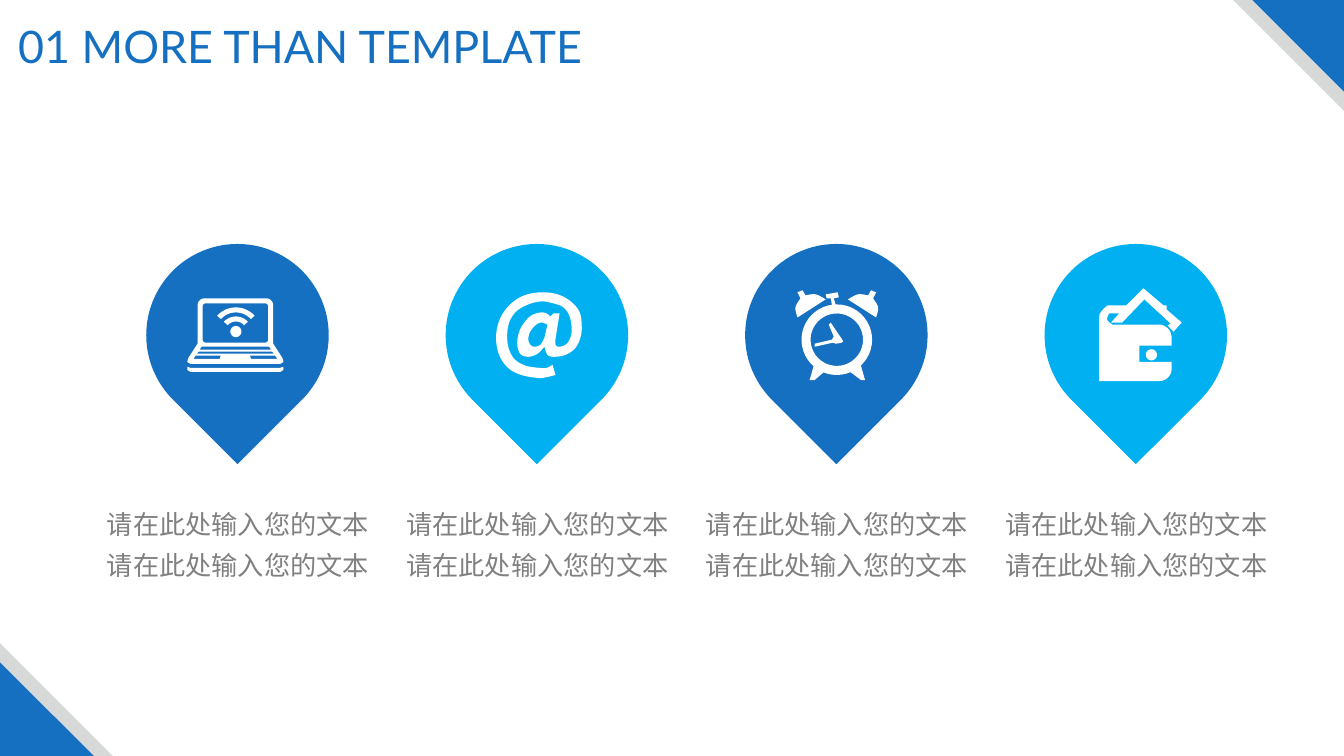
import math

import pptx
import pptx.dml.color
import pptx.enum.shapes
import pptx.enum.text
import pptx.oxml.ns
import pptx.util
from pptx.util import Inches

RGBColor = pptx.dml.color.RGBColor
MSO_SHAPE = pptx.enum.shapes.MSO_SHAPE
PP_ALIGN = pptx.enum.text.PP_ALIGN
MSO_ANCHOR = pptx.enum.text.MSO_ANCHOR
MSO_AUTO_SIZE = pptx.enum.text.MSO_AUTO_SIZE

BLUE = RGBColor(0x15, 0x70, 0xC1)
SKY = RGBColor(0x00, 0xB0, 0xF0)
SILVER = RGBColor(0xD7, 0xD8, 0xD8)
GREY = RGBColor(0x80, 0x80, 0x80)
WHITE = RGBColor(0xFF, 0xFF, 0xFF)

SLIDE_WIDTH, SLIDE_HEIGHT = 13.33, 7.5
PIN_LEFT, PIN_TOP, PIN_SIZE, PIN_PITCH = 1.45, 2.42, 1.81, 2.97
CAPTION_LEFT, CAPTION_TOP = 0.9, 4.9
CAPTION_LINES = ["请在此处输入您的文本"] * 2


def arc(x, y, radius, start, end):
    """Points on a circle, angles in degrees clockwise from the right."""
    steps = max(4, math.ceil(abs(end - start) / 8))
    angles = [math.radians(start + (end - start) * i / steps) for i in range(steps + 1)]
    return [(x + radius * math.cos(a), y + radius * math.sin(a)) for a in angles]


def curve(*knots, steps=5):
    """Points of a smooth open Catmull-Rom curve through the knots."""
    padded = [knots[0], *knots, knots[-1]]
    points = []
    for p, q, r, s in zip(padded, padded[1:], padded[2:], padded[3:]):
        for t in (i / steps for i in range(steps)):
            points.append(tuple(
                b + 0.5 * t * (c - a + t * (2 * a - 5 * b + 4 * c - d
                                            + t * (3 * b - a - 3 * c + d)))
                for a, b, c, d in zip(p, q, r, s)))
    return [*points, knots[-1]]


def rounded(left, top, right, bottom, radius):
    corners = [(right - radius, top + radius, 270), (right - radius, bottom - radius, 0),
               (left + radius, bottom - radius, 90), (left + radius, top + radius, 180)]
    return [point for x, y, start in corners for point in arc(x, y, radius, start, start + 90)]


def bar(top, bottom, top_left, top_right, bottom_left, bottom_right):
    return [(top_left, top), (top_right, top), (bottom_right, bottom), (bottom_left, bottom)]


def band(x, y, inner, outer):
    """An upward-facing signal wave."""
    return arc(x, y, outer, 222, 318) + arc(x, y, inner, 318, 222)


def mirrored(points, axis):
    return [(2 * axis - x, y) for x, y in points]


LAPTOP = [
    [*arc(2.03, 3.03, 0.07, 180, 270), *arc(2.64, 3.03, 0.07, 270, 360), (2.71, 3.41),
     *curve((2.8, 3.55), (2.81, 3.59), (2.78, 3.61)),
     *curve((1.89, 3.61), (1.86, 3.59), (1.87, 3.55)), (1.96, 3.41)],
    rounded(2.01, 3.01, 2.66, 3.4, 0.03),
    band(2.34, 3.3, 0.2, 0.25),
    band(2.34, 3.3, 0.11, 0.16),
    arc(2.34, 3.29, 0.055, 0, 360),
    bar(3.44, 3.47, 2, 2.67, 1.98, 2.69),
    bar(3.49, 3.51, 1.97, 2.7, 1.95, 2.72),
    bar(3.53, 3.56, 1.94, 2.19, 1.92, 2.18),
    bar(3.53, 3.56, 2.48, 2.73, 2.49, 2.75),
    [*curve((1.86, 3.64), (1.89, 3.65)), *curve((2.78, 3.65), (2.81, 3.64)),
     *curve((2.81, 3.64), (2.81, 3.67), (2.78, 3.69)),
     *curve((1.89, 3.69), (1.86, 3.67), (1.86, 3.64))],
]
AT_SIGN = [
    [(5.49, 3.11), (5.55, 3.11),
     *curve((5.51, 3.36), (5.51, 3.42), (5.54, 3.44), (5.59, 3.43), (5.63, 3.4), (5.66, 3.34),
            (5.67, 3.26), (5.65, 3.14), (5.59, 3.05), (5.49, 3.01), (5.37, 2.99), (5.24, 3.02),
            (5.12, 3.09), (5.05, 3.2), (5.03, 3.34), (5.05, 3.47), (5.11, 3.57), (5.22, 3.63),
            (5.36, 3.65), (5.42, 3.65), (5.48, 3.62)),
     *curve((5.51, 3.72), (5.43, 3.74), (5.34, 3.75), (5.17, 3.72), (5.04, 3.65), (4.95, 3.52),
            (4.92, 3.34), (4.96, 3.16), (5.06, 3.02), (5.2, 2.93), (5.37, 2.9), (5.53, 2.92),
            (5.66, 2.99), (5.75, 3.1), (5.77, 3.26), (5.75, 3.37), (5.7, 3.46), (5.61, 3.52),
            (5.5, 3.54), (5.43, 3.52), (5.4, 3.44)),
     *curve((5.4, 3.44), (5.33, 3.51), (5.24, 3.54), (5.16, 3.51), (5.13, 3.41), (5.15, 3.29),
            (5.2, 3.2), (5.27, 3.13), (5.36, 3.1), (5.42, 3.11), (5.46, 3.14))],
    [*curve((5.43, 3.22), (5.37, 3.2), (5.32, 3.22), (5.28, 3.26), (5.25, 3.31), (5.24, 3.37),
            (5.26, 3.42), (5.3, 3.44), (5.36, 3.42), (5.4, 3.35))],
]
BELL = [*curve((8.61, 2.93), (8.51, 2.92), (8.41, 2.97)),
        *curve((8.69, 3.15), (8.71, 3.05), (8.66, 2.96)), (8.69, 2.9), (8.64, 2.88)]
CLOCK = [
    [*arc(8.3, 3.37, 0.35, 131, 262), (8.24, 2.96), (8.2, 2.96), (8.19, 2.92), (8.31, 2.9),
     (8.32, 2.95), (8.27, 2.96), *arc(8.3, 3.37, 0.35, 268, 407), (8.58, 3.77), (8.54, 3.77),
     *arc(8.3, 3.37, 0.35, 67, 112), (8.08, 3.77), (8.03, 3.77)],
    arc(8.3, 3.37, 0.26, 0, 360),
    BELL,
    mirrored(BELL, 8.3),
    [(8.25, 3.37), (8.08, 3.41), (8.08, 3.44), (8.26, 3.4),
     *curve((8.29, 3.41), (8.36, 3.39), (8.32, 3.32)), (8.24, 3.2), (8.22, 3.22), (8.27, 3.34)],
]
WALLET = [
    [(11.03, 3.22), *arc(11.49, 3.35, 0.13, 270, 360), (11.62, 3.43), (11.3, 3.43),
     (11.3, 3.59), (11.62, 3.59), *arc(11.5, 3.66, 0.12, 0, 90), (10.9, 3.78),
     *curve((10.9, 3.19), (10.91, 3.11), (10.97, 3.04)), (10.99, 3.03), (11.17, 3.03),
     (11.34, 2.86), (11.54, 3.03), (11.57, 3.03), (11.57, 3.07), (11.72, 3.2),
     (11.64, 3.29), (11.58, 3.23), (11.61, 3.21), (11.35, 2.97), (11.13, 3.2),
     (11.02, 3.2), (11.1, 3.11), *curve((11, 3.11), (10.98, 3.17), (11.03, 3.22))],
    arc(11.42, 3.52, 0.055, 0, 360),
]
PINS = [(BLUE, LAPTOP), (SKY, AT_SIGN), (BLUE, CLOCK), (SKY, WALLET)]


class SlideBuilder:
    """Holds the text styles and the current slide."""

    title_font = {"name": "Lato", "size": pptx.util.Pt(32)}
    caption_font = {"name": "Noto Sans CJK SC", "size": pptx.util.Pt(18.7)}

    def __init__(self, slide):
        self.slide = slide

    def paint(self, shape, color):
        shape.shadow.inherit = False
        shape.fill.solid()
        shape.fill.fore_color.rgb = color
        shape.line.fill.background()

    def preset(self, kind, left, top, size, color, rotation=0):
        shape = self.slide.shapes.add_shape(
            kind, Inches(left), Inches(top), Inches(size), Inches(size))
        shape.rotation = rotation
        self.paint(shape, color)

    def outline(self, contours, color):
        """Draw closed contours as one shape; inner contours become holes."""
        paths = [[(Inches(x), Inches(y)) for x, y in contour] for contour in contours]
        builder = self.slide.shapes.build_freeform(*paths[0][0])
        for points in paths:
            builder.move_to(*points[0])
            builder.add_line_segments(points[1:], close=True)
        self.paint(builder.convert_to_shape(), color)

    def add_text(self, paragraph, text, font, color):
        paragraph.alignment = PP_ALIGN.CENTER
        run = paragraph.add_run()
        run.text = text
        for name, value in font.items():
            setattr(run.font, name, value)
        run.font.color.rgb = color
        east_asian = run.font._element.makeelement(
            pptx.oxml.ns.qn("a:ea"), {"typeface": font["name"]})
        run.font._element.append(east_asian)

    def title(self, text, left, top, width, height):
        shape = self.slide.shapes.title
        box = {"left": left, "top": top, "width": width, "height": height}
        for name, value in box.items():
            setattr(shape, name, Inches(value))
        frame = shape.text_frame
        frame.word_wrap = True
        frame.auto_size = MSO_AUTO_SIZE.NONE
        frame.vertical_anchor = MSO_ANCHOR.MIDDLE
        self.add_text(frame.paragraphs[0], text, self.title_font, BLUE)

    def caption(self, lines, left, top, width, height):
        frame = self.slide.shapes.add_textbox(
            Inches(left), Inches(top), Inches(width), Inches(height)).text_frame
        frame.word_wrap = True
        frame.auto_size = MSO_AUTO_SIZE.SHAPE_TO_FIT_TEXT
        for index, line in enumerate(lines):
            paragraph = frame.add_paragraph() if index else frame.paragraphs[0]
            paragraph.line_spacing = 1.3
            self.add_text(paragraph, line, self.caption_font, GREY)


def main():
    presentation = pptx.Presentation()
    presentation.slide_width = Inches(SLIDE_WIDTH)
    presentation.slide_height = Inches(SLIDE_HEIGHT)
    builder = SlideBuilder(presentation.slides.add_slide(presentation.slide_layouts[5]))

    for size, color in [(1.1, SILVER), (0.91, BLUE)]:
        builder.preset(MSO_SHAPE.RIGHT_TRIANGLE, SLIDE_WIDTH - size, 0, size, color, 180)
    for size, color in [(1.12, SILVER), (0.93, BLUE)]:
        builder.preset(MSO_SHAPE.RIGHT_TRIANGLE, 0, SLIDE_HEIGHT - size, size, color)

    builder.title("01 MORE THAN TEMPLATE", 0.02, 0.13, 5.92, 0.64)
    for index, (color, icon) in enumerate(PINS):
        offset = index * PIN_PITCH
        builder.preset(MSO_SHAPE.TEAR, PIN_LEFT + offset, PIN_TOP, PIN_SIZE, color, 135)
        builder.outline(icon, WHITE)
        builder.caption(CAPTION_LINES, CAPTION_LEFT + offset, CAPTION_TOP, 2.92, 0.92)

    presentation.save("out.pptx")


if __name__ == "__main__":
    main()
